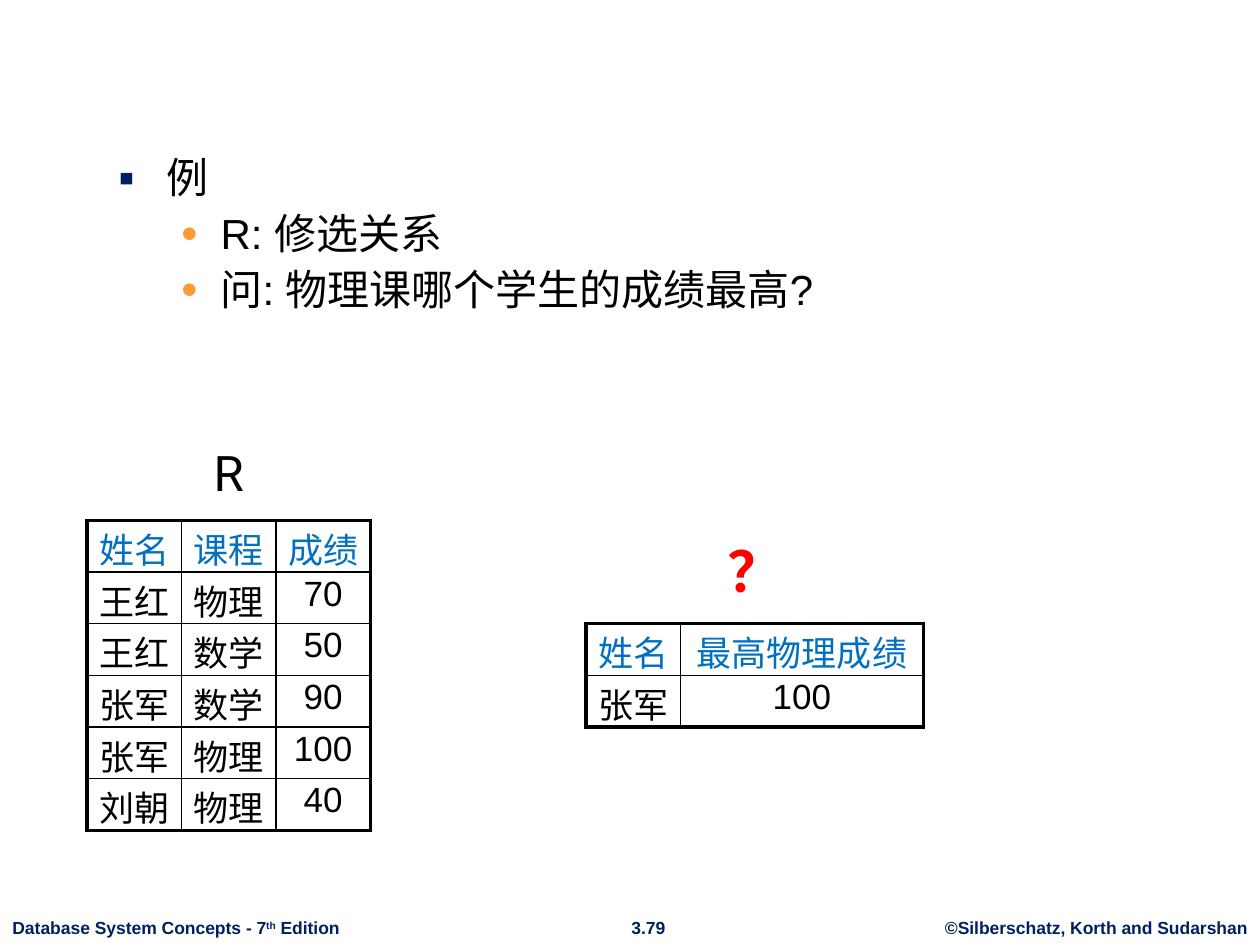
"""Build the slide asking which student has the highest physics score."""
from lxml import etree
from pptx import Presentation
from pptx.dml.color import RGBColor
from pptx.enum import text
from pptx.oxml import ns
from pptx.util import Inches, Pt

NAVY = RGBColor(0x00, 0x20, 0x60)
BLUE = RGBColor(0x00, 0x70, 0xC0)
ORANGE = RGBColor(0xFF, 0x99, 0x33)
RED = RGBColor(0xFF, 0x00, 0x00)
BLACK = RGBColor(0x00, 0x00, 0x00)
WHITE = RGBColor(0xFF, 0xFF, 0xFF)


def add_label(page, place, parts, font, size, color, bold=False, wrap=False):
    box = page.shapes.add_textbox(*[Inches(length) for length in place])
    box.text_frame.word_wrap = wrap
    para = box.text_frame.paragraphs[0]
    para.alignment = text.PP_ALIGN.CENTER
    for part in parts:
        span = para.add_run()
        span.text = part
        span.font.name = font
        span.font.size = Pt(size)
        span.font.bold = bold
        span.font.color.rgb = color
    return para


def add_grid(page, left, top, widths, rows, side, bottom):
    height = 0.41
    frame = page.shapes.add_table(
        len(rows), len(widths), Inches(left), Inches(top),
        Inches(sum(widths)), Inches(height * len(rows)))
    table = frame.table
    table.first_row = False
    table.horz_banding = False
    for column, width in zip(table.columns, widths):
        column.width = Inches(width)
    for y, row in enumerate(rows):
        table.rows[y].height = Inches(height)
        for x, value in enumerate(row):
            cell = table.cell(y, x)
            cell.margin_left = cell.margin_right = Inches(side)
            cell.margin_top = Inches(0.02)
            cell.margin_bottom = Inches(bottom)
            outer = {"L": x == 0, "R": x == len(widths) - 1,
                     "T": y == 0, "B": y == len(rows) - 1}
            properties = cell._tc.get_or_add_tcPr()
            for edge, thick in outer.items():
                line = etree.SubElement(properties, ns.qn(f"a:ln{edge}"),
                                        w=str(Pt(2.25 if thick else 1)))
                fill = etree.SubElement(line, ns.qn("a:solidFill"))
                etree.SubElement(fill, ns.qn("a:srgbClr"), val=str(BLACK))
            if y == 0:
                cell.fill.solid()
                cell.fill.fore_color.rgb = WHITE
            else:
                cell.fill.background()
            cell.text_frame.text = value
            para = cell.text_frame.paragraphs[0]
            para.alignment = text.PP_ALIGN.CENTER
            font = para.runs[0].font
            font.name = "Arial"
            font.size = Pt(20)
            font.color.rgb = BLUE if y == 0 else BLACK


deck = Presentation()
deck.slide_width = Inches(10)
deck.slide_height = Inches(7.5)
page = deck.slides.add_slide(deck.slide_layouts[1])
title = page.shapes.title.element
title.getparent().remove(title)

footers = [
    (7.4, 2.6, ["©Silberschatz, Korth and Sudarshan"]),
    (4.9, 0.49, ["3.79"]),
    (0, 2.81, ["Database System Concepts - 7", "th", " Edition"]),
]
for left, width, parts in footers:
    para = add_label(page, (left, 7.23, width, 0.27), parts, "Arial", 10, NAVY, True)
para.alignment = text.PP_ALIGN.LEFT
para.runs[1].font._element.set("baseline", "30000")

body = page.placeholders[1]
body.left, body.top = Inches(0.84), Inches(1.2)
body.width, body.height = Inches(8.43), Inches(5.36)
points = [
    (0, "例", "▪", NAVY, 0.38, 0.38),
    (1, "R: 修选关系", "•", ORANGE, 0.81, 0.31),
    (1, "问: 物理课哪个学生的成绩最高?", "•", ORANGE, 0.81, 0.31),
]
body.text_frame.text = "\n".join(point[1] for point in points)
for para, point in zip(body.text_frame.paragraphs, points):
    level, _, mark, color, margin, hanging = point
    para.level = level
    properties = para._p.get_or_add_pPr()
    properties.set("marL", str(Inches(margin)))
    properties.set("indent", str(-Inches(hanging)))
    tint = etree.SubElement(properties, ns.qn("a:buClr"))
    etree.SubElement(tint, ns.qn("a:srgbClr"), val=str(color))
    etree.SubElement(properties, ns.qn("a:buSzPct"), val="110000")
    etree.SubElement(properties, ns.qn("a:buFont"), typeface="Arial")
    etree.SubElement(properties, ns.qn("a:buChar"), char=mark)
    para.line_spacing = 0.9
    para.space_before = Pt(6 if level else 0)
    font = para.runs[0].font
    font.name = "Arial"
    font.size = Pt(24)
    font.color.rgb = BLACK

scores = [
    ("姓名", "课程", "成绩"),
    ("王红", "物理", "70"),
    ("王红", "数学", "50"),
    ("张军", "数学", "90"),
    ("张军", "物理", "100"),
    ("刘朝", "物理", "40"),
]
add_grid(page, 0.69, 4.13, [0.75] * 3, scores, 0.04, 0.02)
add_label(page, (1.19, 3.46, 1.25, 0.57), ["R"], "Roboto", 28, BLACK, wrap=True)

answer = [("姓名", "最高物理成绩"), ("张军", "100")]
add_grid(page, 4.65, 4.95, [0.75, 1.93], answer, 0, 0)
question = add_label(page, (5.67, 4.13, 0.65, 0.65), ["？"], "Roboto", 32, RED, True)
question.line_spacing = 1.15

deck.save("out.pptx")
